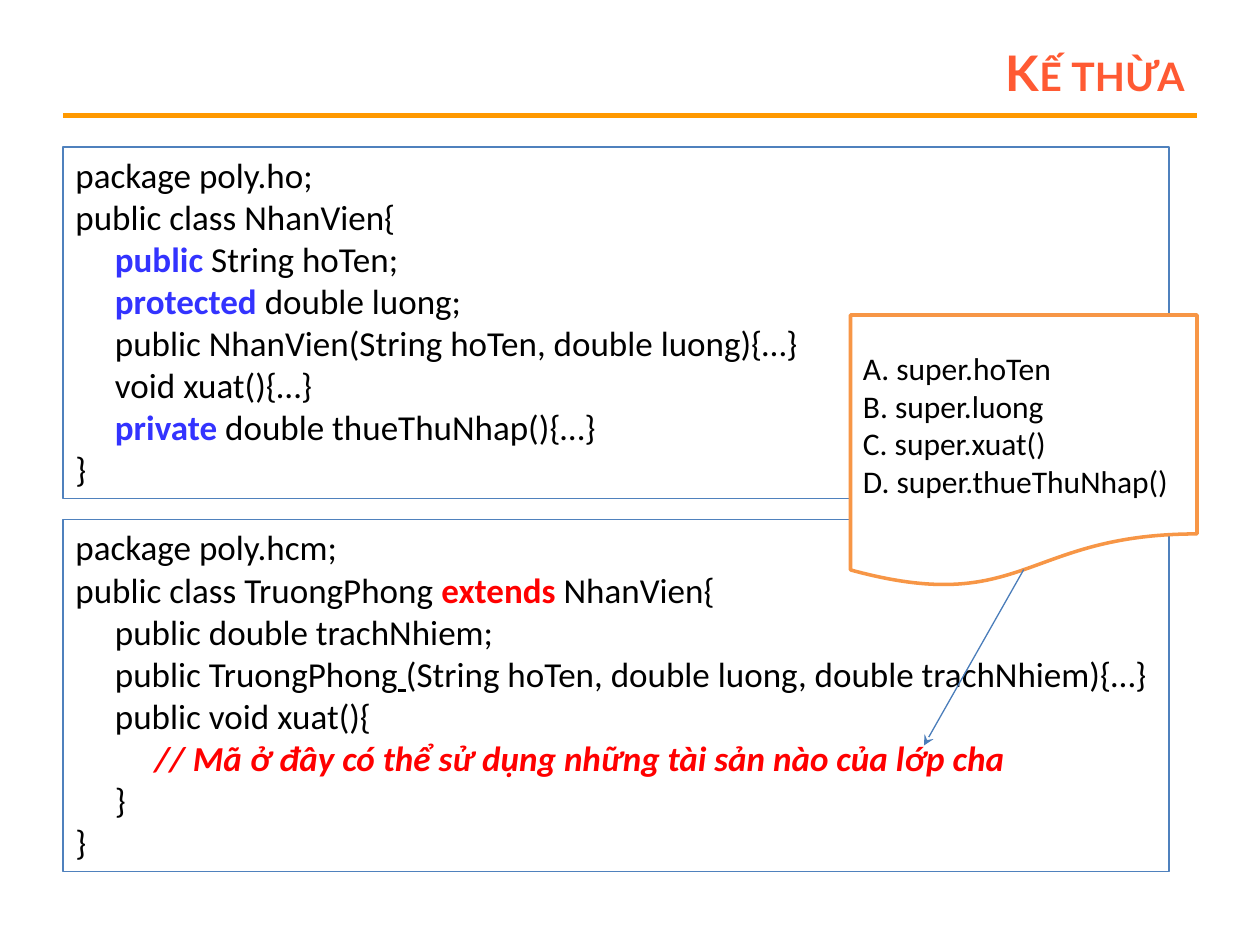
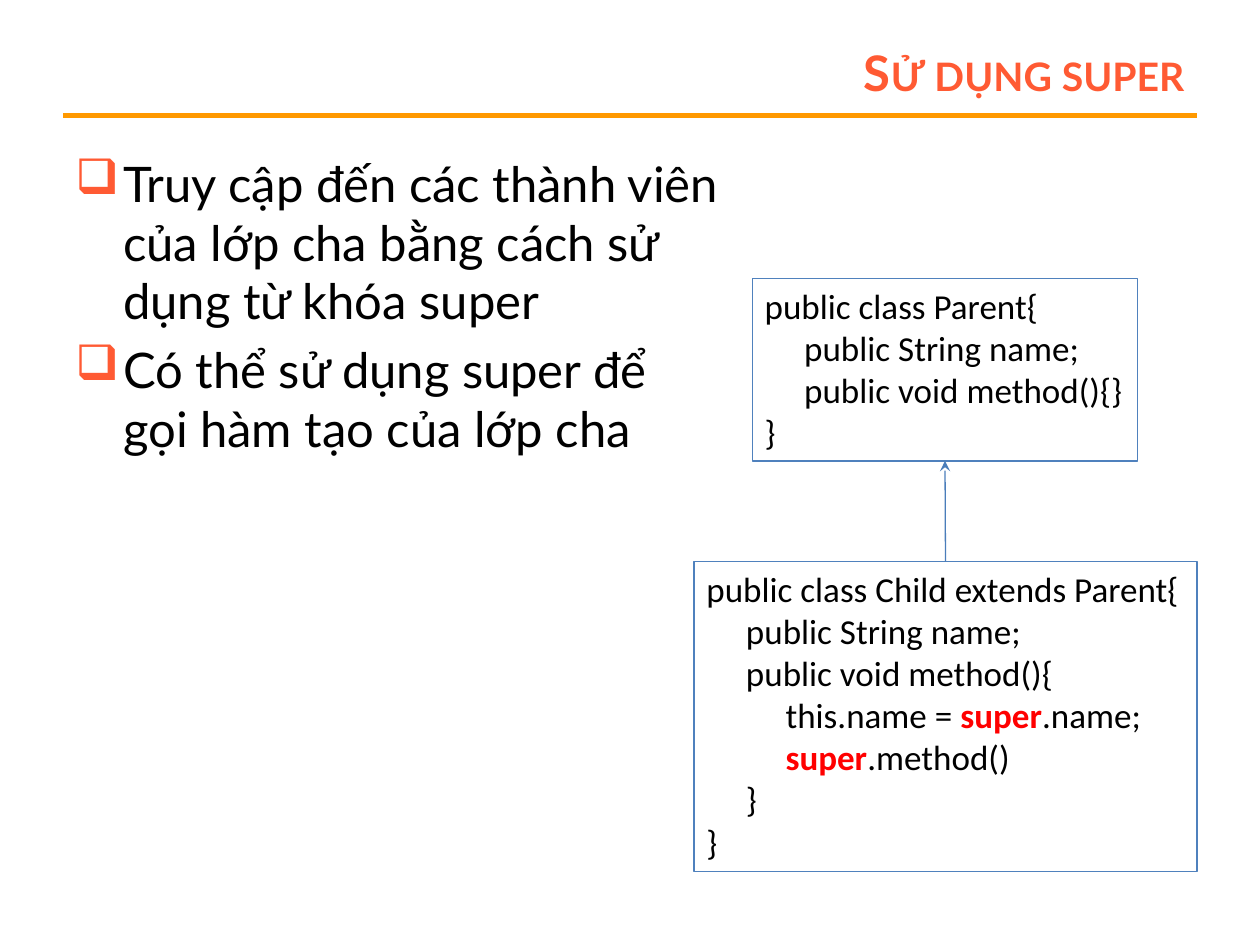
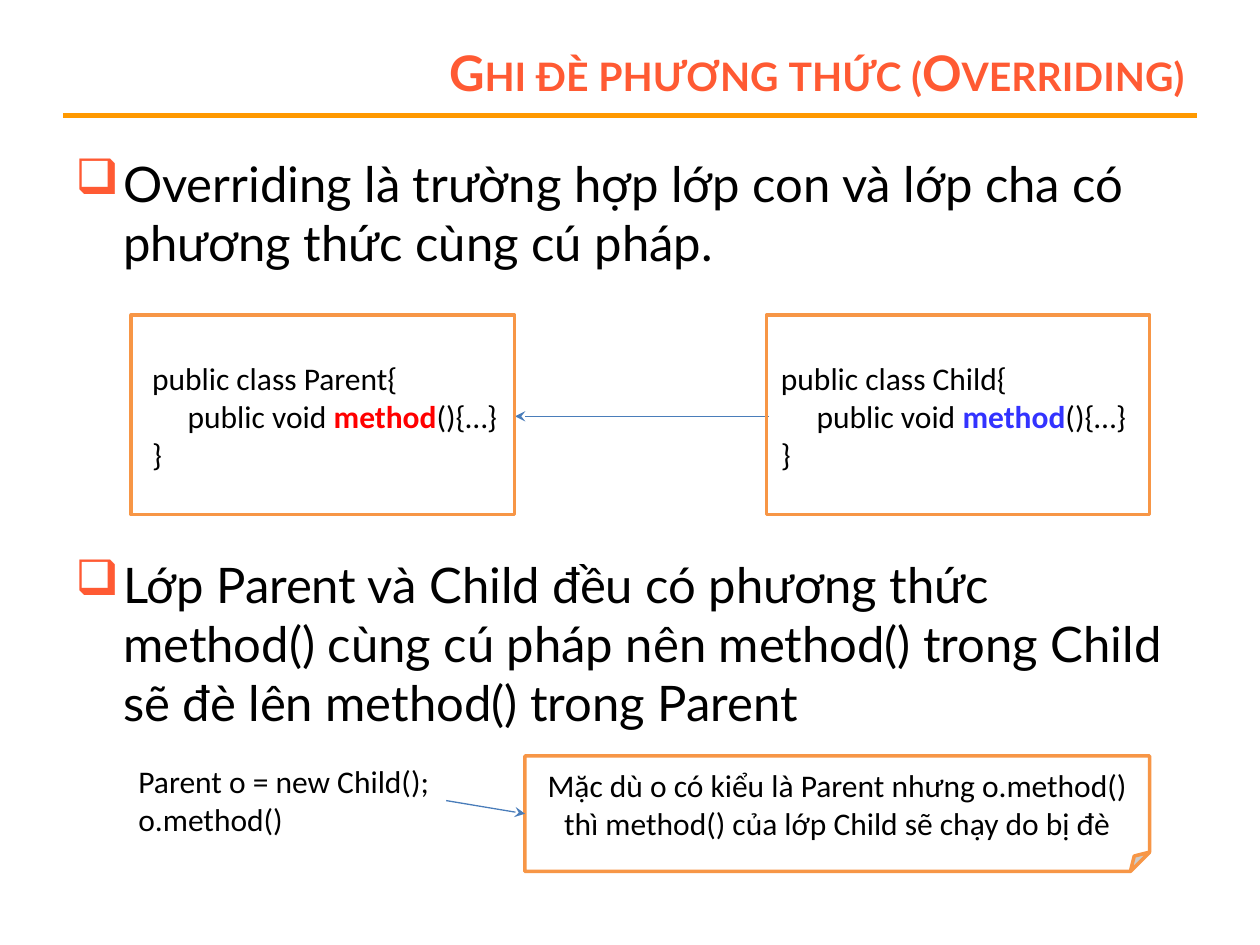
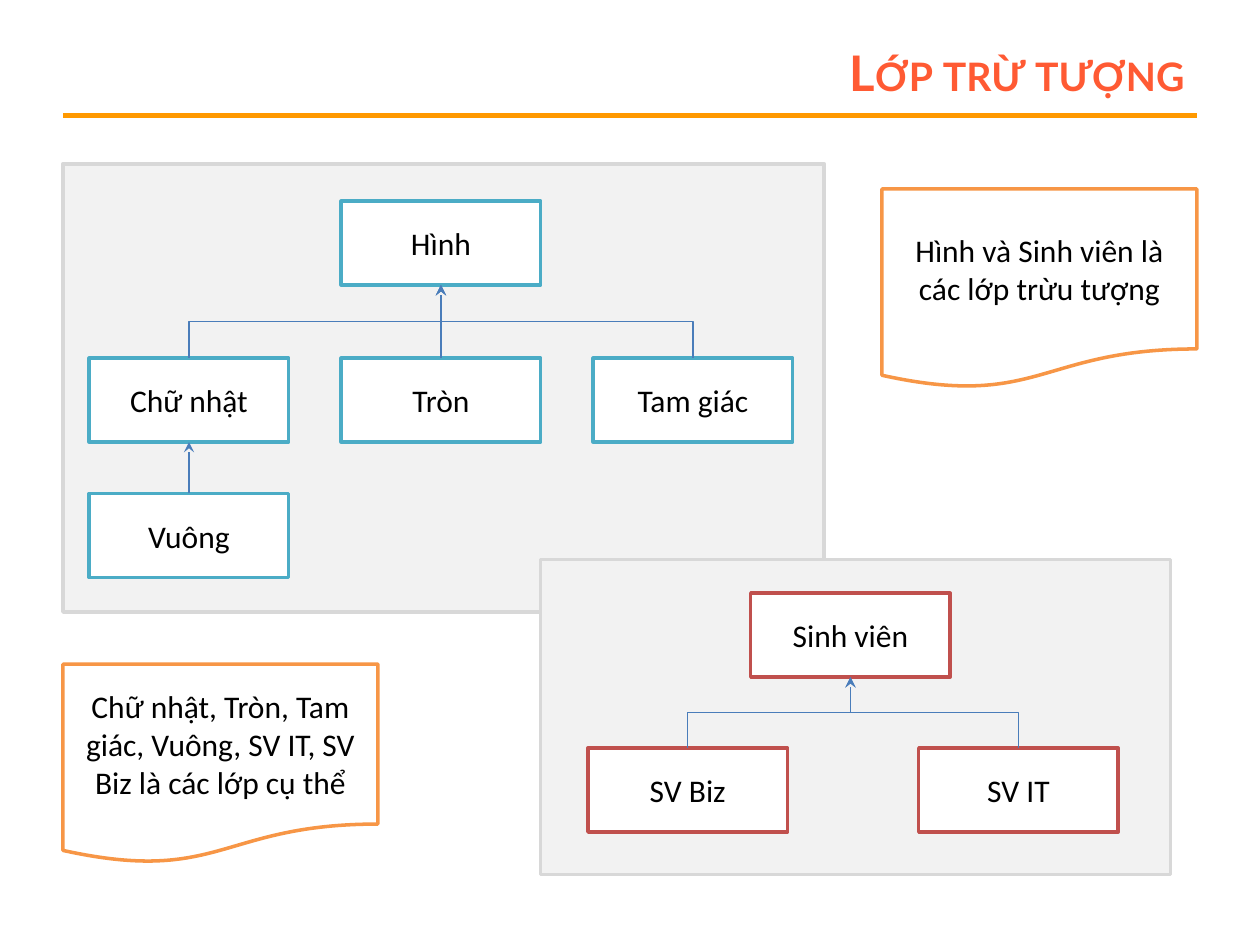
"""Builds four slides on inheritance, overriding and abstract classes."""
import pptx
import pptx.dml.color
import pptx.enum.shapes
import pptx.enum.text
import pptx.oxml.ns
import pptx.oxml.xmlchemy
import pptx.util
from lxml import etree

RGB = pptx.dml.color.RGBColor
BLACK = RGB(0x00, 0x00, 0x00)
WHITE = RGB(0xFF, 0xFF, 0xFF)
CORAL = RGB(0xFF, 0x5A, 0x33)
AMBER = RGB(0xFF, 0x99, 0x00)
ORANGE = RGB(0xF7, 0x96, 0x46)
STEEL = RGB(0x4F, 0x81, 0xBD)
ARROW = RGB(0x4A, 0x7D, 0xBA)
TEAL = RGB(0x4B, 0xAC, 0xC6)
BRICK = RGB(0xC0, 0x50, 0x4D)
PALE = RGB(0xF2, 0xF2, 0xF2)
GREY = RGB(0xD8, 0xD8, 0xD8)
RED = RGB(0xFF, 0x00, 0x00)
BLUE = RGB(0x33, 0x33, 0xFF)

HOT = {"color": RED, "bold": True}
COOL = {"color": BLUE, "bold": True}
REMARK = {"color": RED, "bold": True, "italic": True}
UNDER = {"underline": True}

WIDTH, HEIGHT = pptx.util.Inches(10), pptx.util.Inches(7.5)
COLS, ROWS = 240, 180
TOP, LEFT, BOTTOM, RIGHT = range(4)
NODE = (38, 16)

SHAPE = pptx.enum.shapes.MSO_SHAPE
LINK = pptx.enum.shapes.MSO_CONNECTOR
ALIGN = pptx.enum.text.PP_ALIGN
ANCHOR = pptx.enum.text.MSO_ANCHOR
FIT = pptx.enum.text.MSO_AUTO_SIZE
qn = pptx.oxml.ns.qn


def place(*cells):
    """Turn alternating columns and rows into lengths."""
    steps = (WIDTH / COLS, HEIGHT / ROWS)
    return [pptx.util.Emu(round(n * steps[i % 2])) for i, n in enumerate(cells)]


def add_run(para, text, size, face="Calibri", color=BLACK, bold=False,
            italic=False, underline=False):
    """Add one styled run to a paragraph."""
    run = para.add_run()
    run.text = text
    font = run.font
    font.size, font.name = pptx.util.Pt(size), face
    font.bold, font.italic, font.underline = bold, italic, underline
    font.color.rgb = color
    return run


def get_para(frame, index):
    """Return the first paragraph or a new one."""
    return frame.add_paragraph() if index else frame.paragraphs[0]


def write(shape, lines, size=18, align=ALIGN.LEFT, anchor=ANCHOR.MIDDLE):
    """Fill a shape with lines, each a text or (depth, run, run...)."""
    frame = shape.text_frame
    frame.word_wrap = True
    frame.vertical_anchor = anchor
    for index, line in enumerate(lines):
        depth, *runs = (0, line) if isinstance(line, str) else line
        para = get_para(frame, index)
        para.alignment = align
        if depth:
            indent = pptx.util.Pt(depth * size * 1.13)
            para._p.get_or_add_pPr().set("marL", str(indent))
        for run in runs:
            text, style = (run, {}) if isinstance(run, str) else run
            add_run(para, text, size, **style)


def add_box(slide, cells, edge, fill=None, weight=2, kind=SHAPE.RECTANGLE):
    """Add an outlined shape without shadow."""
    box = slide.shapes.add_shape(kind, *place(*cells))
    box.shadow.inherit = False
    if fill is None:
        box.fill.background()
    else:
        box.fill.solid()
        box.fill.fore_color.rgb = fill
    box.line.color.rgb = edge
    box.line.width = pptx.util.Pt(weight)
    return box


def add_code(slide, cells, lines):
    """Add a thinly framed code listing."""
    box = add_box(slide, cells, STEEL, weight=0.75)
    write(box, lines, 20, anchor=ANCHOR.TOP)
    box.text_frame.auto_size = FIT.SHAPE_TO_FIT_TEXT
    return box


def add_plain(slide, cells, lines):
    """Add an unframed code listing."""
    box = slide.shapes.add_textbox(*place(*cells))
    write(box, lines, anchor=ANCHOR.TOP)
    box.text_frame.auto_size = FIT.SHAPE_TO_FIT_TEXT
    return box


def add_note(slide, cells, lines, align=ALIGN.CENTER,
             kind=SHAPE.FLOWCHART_DOCUMENT):
    """Add an orange paper note."""
    note = add_box(slide, cells, ORANGE, WHITE, kind=kind)
    write(note, lines, align=align)
    return note


def add_node(slide, col, row, name, edge):
    """Add one class of a hierarchy."""
    node = add_box(slide, (col, row, *NODE), edge, WHITE)
    write(node, [name], align=ALIGN.CENTER)
    return node


def add_line(slide, cells, color=ARROW, weight=0.75, head=True, kind=LINK.STRAIGHT):
    """Add a connector, with an arrowhead at its end if wanted."""
    line = slide.shapes.add_connector(kind, *place(*cells))
    line.line.color.rgb = color
    line.line.width = pptx.util.Pt(weight)
    if head:
        etree.SubElement(line.line._ln, qn("a:tailEnd"), type="stealth")
    etree.SubElement(line._element.spPr, qn("a:effectLst"))
    return line


def join(slide, start, end, sides=(TOP, BOTTOM), kind=LINK.STRAIGHT):
    """Join two shapes with an arrow."""
    line = add_line(slide, (0, 0, 1, 1), kind=kind)
    line.begin_connect(start, sides[0])
    line.end_connect(end, sides[1])
    return line


def bend(slide, child, parent):
    """Join a child to its parent with an upright elbow arrow."""
    line = join(slide, child, parent, kind=LINK.ELBOW)
    x1, x2 = (node.left + node.width // 2 for node in (child, parent))
    y1, y2 = child.top, parent.top + parent.height
    line.width, line.height = y1 - y2, abs(x2 - x1)
    line.left = (x1 + x2 - line.width) // 2
    line.top = (y1 + y2 - line.height) // 2
    frame = line._element.spPr.find(qn("a:xfrm"))
    for flip in ("flipH", "flipV"):
        frame.attrib.pop(flip, None)
    frame.set("rot", str((270 if x1 < x2 else 90) * 60000))
    if x1 > x2:
        frame.set("flipH", "1")


def add_list(slide, width, items):
    """Add bulleted text from (space before, text) items."""
    box = slide.shapes.add_textbox(*place(12, 28, width, 138))
    frame = box.text_frame
    frame.word_wrap = True
    for index, (space, text) in enumerate(items):
        para = get_para(frame, index)
        para.space_before = pptx.util.Pt(space)
        add_run(para, text, 28, "Lato")
        props = para._p.get_or_add_pPr()
        hang = pptx.util.Inches(0.38)
        props.set("marL", str(hang))
        props.set("indent", str(-hang))
        tint = etree.SubElement(props, qn("a:buClr"))
        etree.SubElement(tint, qn("a:srgbClr"), val=str(CORAL))
        etree.SubElement(props, qn("a:buChar"), char="❑")


def add_slide(deck, title):
    """Add a blank slide with the shared rule and title."""
    slide = deck.slides.add_slide(deck.slide_layouts[6])
    add_line(slide, (12, 22, 228, 22), AMBER, 3, head=False)
    box = slide.shapes.add_textbox(*place(54, 7.2, 174, 12.8))
    frame = box.text_frame
    frame.word_wrap = True
    frame.vertical_anchor = ANCHOR.MIDDLE
    para = frame.paragraphs[0]
    para.alignment = ALIGN.RIGHT
    run = add_run(para, title, 28, "Lato", CORAL, True)
    run.font._element.set("cap", "small")
    return slide


def show_heirs(deck):
    """Show which members a subclass inherits."""
    slide = add_slide(deck, "Kế thừa")
    add_code(slide, (12, 28, 210.7, 67), [
        "package poly.ho;",
        "public class NhanVien{",
        (1, ("public", COOL), " String hoTen;"),
        (1, ("protected", COOL), " double luong;"),
        (1, "public NhanVien(String hoTen, double luong){…}"),
        (1, "void xuat(){…}"),
        (1, ("private", COOL), " double thueThuNhap(){…}"),
        "}"])
    add_code(slide, (12, 99, 210.7, 67), [
        "package poly.hcm;",
        (0, "public class TruongPhong ", ("extends", HOT), " NhanVien{"),
        (1, "public double trachNhiem;"),
        (1, "public TruongPhong", (" ", UNDER),
         "(String hoTen, double luong, double trachNhiem){…}"),
        (1, "public void xuat(){"),
        (2, ("// Mã ở đây có thể sử dụng những tài sản nào của lớp cha", REMARK)),
        (1, "}"),
        "}"])
    add_note(slide, (162, 60, 66, 52), [
        "A. super.hoTen", "B. super.luong", "C. super.xuat()",
        "D. super.thueThuNhap()"], ALIGN.LEFT)
    add_line(slide, (195, 108.5, 176, 142))


def show_super(deck):
    """Show the use of super."""
    slide = add_slide(deck, "Sử dụng super")
    add_list(slide, 128, [
        (0, "Truy cập đến các thành viên của lớp cha bằng cách sử dụng từ khóa super"),
        (5.6, "Có thể sử dụng super để gọi hàm tạo của lớp cha")])
    parent = add_code(slide, (143.3, 53, 73.4, 34.8), [
        "public class Parent{",
        (1, "public String name;"),
        (1, "public void method(){}"),
        "}"])
    child = add_code(slide, (132.2, 107, 95.8, 59), [
        "public class Child extends Parent{",
        (1, "public String name;"),
        (1, "public void method(){"),
        (2, "this.name = ", ("super", HOT), ".name;"),
        (2, ("super", HOT), ".method()"),
        (1, "}"),
        "}"])
    join(slide, child, parent)


def show_method(deck):
    """Show how a child overrides a method."""
    slide = add_slide(deck, "Ghi đè phương thức (Overriding)")
    add_list(slide, 216, [
        (0, "Overriding là trường hợp lớp con và lớp cha có phương thức cùng cú pháp."),
        (162, "Lớp Parent và Child đều có phương thức method() cùng cú pháp nên "
              "method() trong Child sẽ đè lên method() trong Parent")])
    parent, child = (
        add_plain(slide, (col, 67.2, width, 24.2), [
            f"public class {name}{{",
            (1, "public void ", ("method", style), "(){…}"),
            "}"])
        for col, width, name, style in ((26.6, 71.5, "Parent", HOT),
                                        (146.4, 72.7, "Child", COOL)))
    join(slide, child, parent, (LEFT, RIGHT))
    for col in (25, 146):
        add_box(slide, (col, 60, 73, 38), ORANGE)
    usage = add_plain(slide, (24, 144, 61, 17),
                      ["Parent o = new Child();", "o.method()"])
    note = add_note(slide, (100, 144, 119, 22), [
        "Mặc dù o có kiểu là Parent nhưng o.method() "
        "thì method() của lớp Child sẽ chạy do bị đè"], kind=SHAPE.FOLDED_CORNER)
    join(slide, usage, note, (RIGHT, LEFT))


def show_trees(deck):
    """Show two hierarchies with abstract roots."""
    slide = add_slide(deck, "Lớp trừ tượng")
    for cells in ((12, 31.2, 145, 85.4), (103, 106.6, 120, 60)):
        add_box(slide, cells, GREY, PALE)
    figure = add_node(slide, 65, 38.3, "Hình", TEAL)
    oblong, circle, wedge = (
        add_node(slide, 17 + 48 * i, 68.2, name, TEAL)
        for i, name in enumerate(("Chữ nhật", "Tròn", "Tam giác")))
    square = add_node(slide, 17, 94, "Vuông", TEAL)
    bend(slide, oblong, figure)
    bend(slide, wedge, figure)
    join(slide, circle, figure)
    join(slide, square, oblong)
    student = add_node(slide, 143, 113, "Sinh viên", BRICK)
    for col, name in ((112, "SV Biz"), (175, "SV IT")):
        bend(slide, add_node(slide, col, 142.5, name, BRICK), student)
    add_note(slide, (168, 36, 60, 38), ["Hình và Sinh viên là các lớp trừu tượng"])
    add_note(slide, (12, 126.5, 60, 38), [
        "Chữ nhật, Tròn, Tam giác, Vuông, SV IT, SV Biz là các lớp cụ thể"])


def main():
    """Build and save the deck."""
    deck = pptx.Presentation()
    deck.slide_width, deck.slide_height = WIDTH, HEIGHT
    for show in (show_heirs, show_super, show_method, show_trees):
        show(deck)
    deck.save("out.pptx")


if __name__ == "__main__":
    main()
